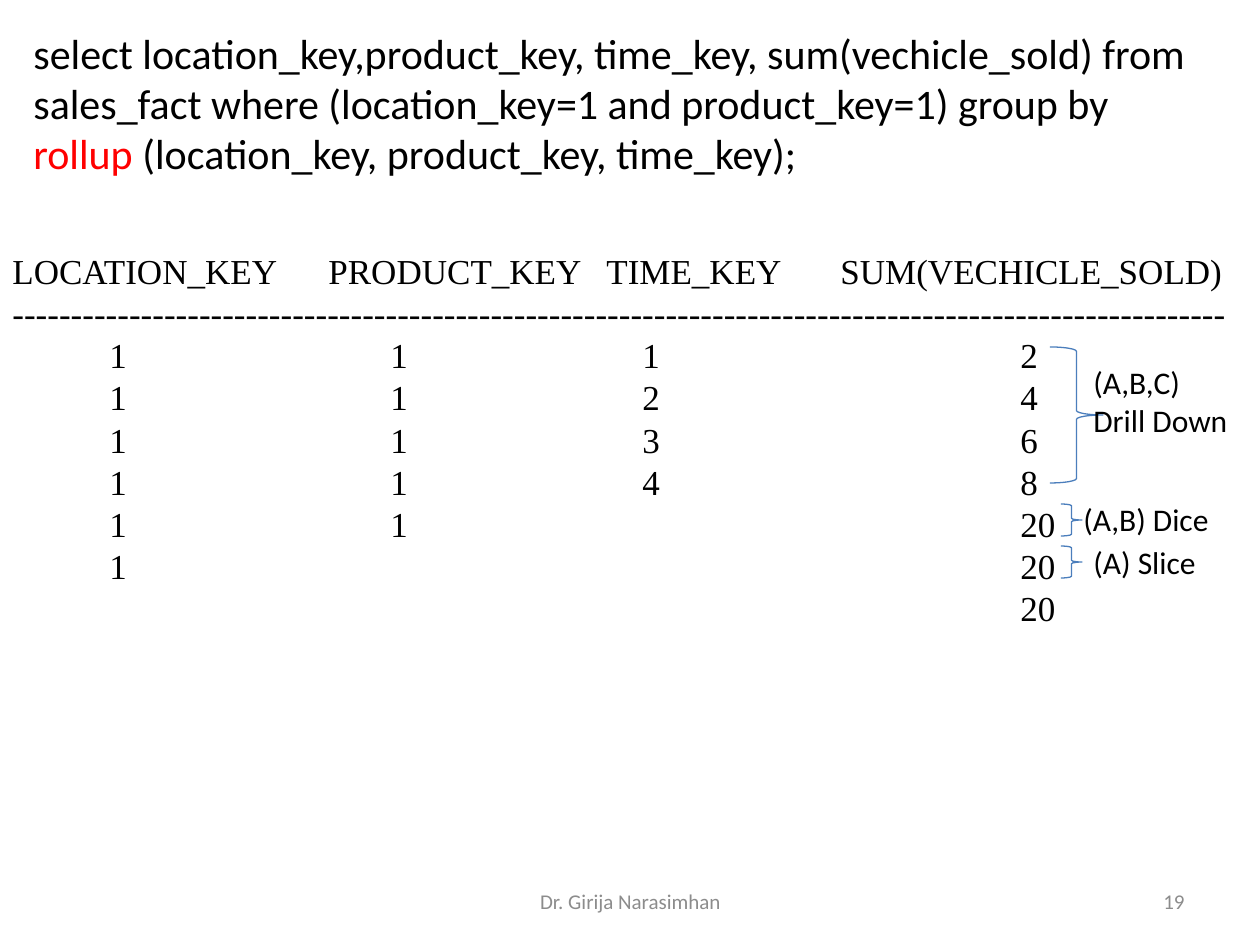
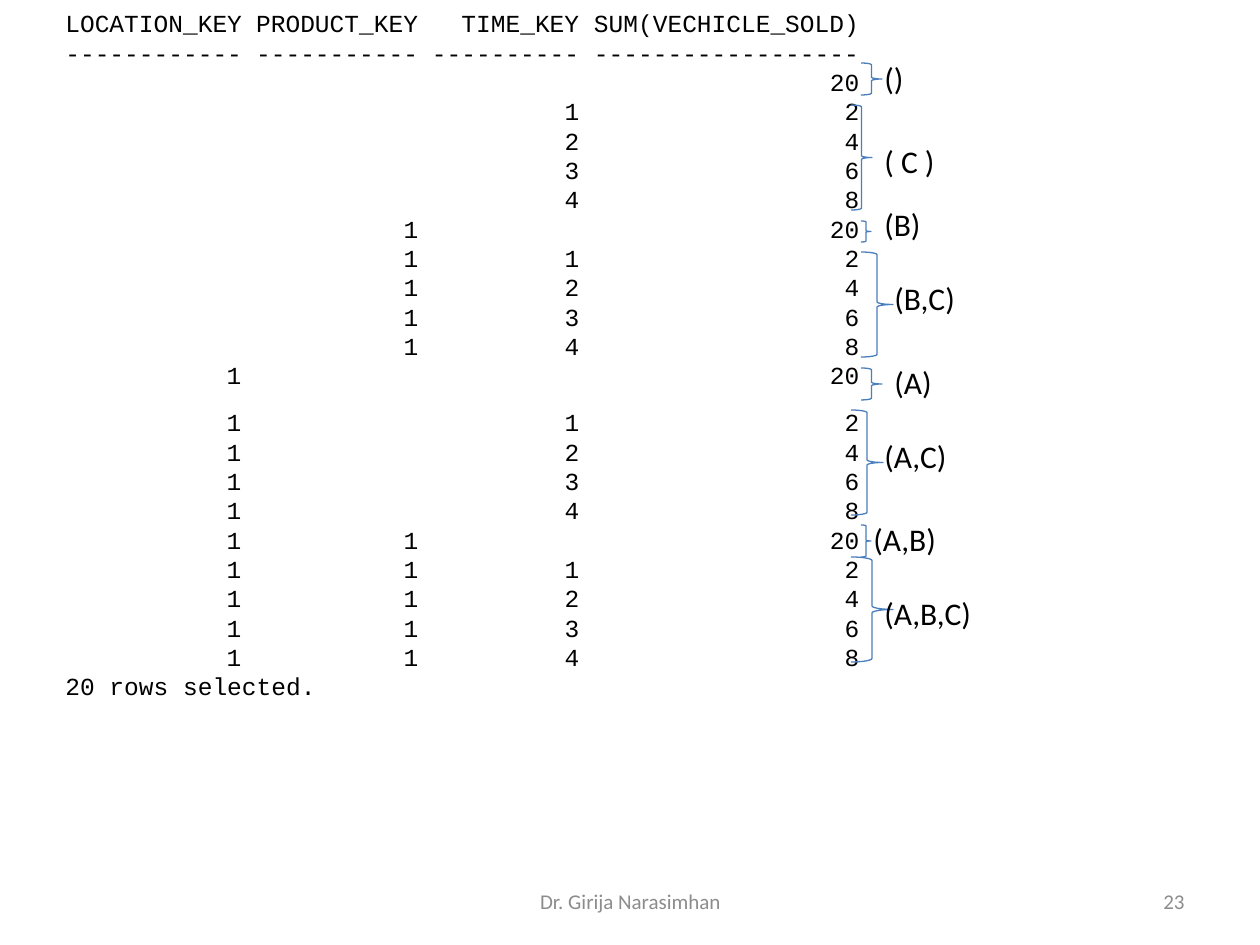
"""Build two slides showing the results of SQL rollup and cube queries."""
import dataclasses

import lxml.etree
import pptx
import pptx.dml.color
import pptx.enum.shapes
import pptx.enum.text
import pptx.oxml.ns
import pptx.util

ALIGN = pptx.enum.text.PP_ALIGN
ANCHOR = pptx.enum.text.MSO_ANCHOR
EMU_PER_PX = 914400 / 126
SLIDE_SIZE = (1260, 945)


@dataclasses.dataclass(frozen=True)
class Style:
    font: str
    size: int
    color: str = "000000"
    pitch: float = None


@dataclasses.dataclass(frozen=True)
class Theme:
    query: Style = Style("Calibri", 24)
    keyword: Style = Style("Calibri", 24, "FF0000")
    label: Style = Style("Calibri", 18)
    footer: Style = Style("Calibri", 12, "8C8C8C")
    rollup: Style = Style("Times New Roman", 20, pitch=24)
    cube: Style = Style("Courier New", 14, pitch=16.75)
    brace: str = "4B7EBC"
    brace_width: float = 0.75


THEME = Theme()

AUTHOR = "Dr. Girija Narasimhan"
AUTHOR_BOX = (431, 876, 399, 50)
NUMBER_BOX = (903, 876, 294, 50)

QUERY_BOX = (21, 21, 1187, 165)
QUERY = [
    ("select location_key,product_key, time_key, sum(vechicle_sold) from "
     "sales_fact where (location_key=1 and product_key=1) group by ", THEME.query),
    ("rollup", THEME.keyword),
    (" (location_key, product_key, time_key);", THEME.query),
]

COLUMNS = ("LOCATION_KEY", "PRODUCT_KEY", "TIME_KEY", "SUM(VECHICLE_SOLD)")

ROLLUP_BOX = (0, 242, 1281, 394)
ROLLUP_HEADER_STOPS = (316, 594, 828)
ROLLUP_VALUE_STOPS = (97, 378, 630, 1008)
ROLLUP_RULE = "-" * 104
ROLLUP_ROWS = [
    (1, 1, 1, 2),
    (1, 1, 2, 4),
    (1, 1, 3, 6),
    (1, 1, 4, 8),
    (1, 1, "", 20),
    (1, "", "", 20),
    ("", "", "", 20),
]
ROLLUP_LEVELS = [
    (("(A,B,C)", "Drill Down"), (1050, 347, 53, 136), (1081, 357, 179, 89)),
    (("(A,B) Dice",), (1061, 504, 21, 32), (1071, 494, 158, 50)),
    (("(A) Slice",), (1061, 546, 21, 32), (1081, 537, 158, 50)),
]

CUBE_UPPER_BOX = (53, 0, 824, 398)
CUBE_LOWER_BOX = (53, 399, 824, 310)
CUBE_STOPS = (176, 353, 514, 794)
CUBE_RULE = tuple("-" * width for width in (12, 11, 10, 18))
TIME_SALES = [(1, 2), (2, 4), (3, 6), (4, 8)]
TOTAL = ("", 20)
CUBE_UPPER_GROUPS = [
    ("", "", [TOTAL] + TIME_SALES),
    ("", 1, [TOTAL] + TIME_SALES),
    (1, "", [TOTAL]),
]
CUBE_LOWER_GROUPS = [
    (1, "", TIME_SALES),
    (1, 1, [TOTAL] + TIME_SALES),
]
CUBE_CLOSING = "20 rows selected."
CUBE_LEVELS = [
    (("()",), (861, 63, 21, 32), (872, 53, 95, 50)),
    (("( C )",), (851, 105, 21, 105), (872, 136, 158, 50)),
    (("(B)",), (861, 221, 10, 21), (872, 199, 105, 50)),
    (("(B,C)",), (861, 252, 32, 105), (882, 273, 105, 50)),
    (("(A)",), (861, 368, 21, 32), (882, 357, 63, 50)),
    (("(A,C)",), (851, 410, 32, 105), (872, 431, 158, 50)),
    (("(A,B)",), (861, 525, 10, 32), (861, 514, 105, 50)),
    (("(A,B,C)",), (851, 557, 42, 105), (872, 588, 116, 50)),
]


def px(length):
    return round(length * EMU_PER_PX)


def rgb(value):
    return pptx.dml.color.RGBColor.from_string(value)


def set_tab_stops(paragraph, stops, side):
    properties = paragraph._p.get_or_add_pPr()
    qn = pptx.oxml.ns.qn
    tab_list = lxml.etree.SubElement(properties, qn("a:tabLst"))
    for stop in stops:
        lxml.etree.SubElement(tab_list, qn("a:tab"), pos=str(px(stop)), algn=side)


def add_text(slide, box, paragraphs, align=ALIGN.LEFT, anchor=ANCHOR.TOP):
    """Add a text box; each paragraph is (runs, tab stops, tab side)."""
    frame = slide.shapes.add_textbox(*map(px, box)).text_frame
    frame.word_wrap = True
    frame.vertical_anchor = anchor
    for index, (runs, stops, side) in enumerate(paragraphs):
        paragraph = frame.add_paragraph() if index else frame.paragraphs[0]
        paragraph.alignment = align
        for text, style in runs:
            run = paragraph.add_run()
            run.text = text
            run.font.name = style.font
            run.font.size = pptx.util.Pt(style.size)
            run.font.color.rgb = rgb(style.color)
            if style.pitch:
                paragraph.line_spacing = pptx.util.Pt(style.pitch)
        if stops:
            set_tab_stops(paragraph, stops, side)


def line(text, style, stops=(), side="l"):
    return [(text, style)], stops, side


def tabbed(cells):
    return "".join(f"\t{cell}" for cell in cells)


def add_listing(slide, box, lines):
    add_text(slide, box, lines, ALIGN.JUSTIFY, ANCHOR.MIDDLE)


def add_levels(slide, levels):
    for words, brace_box, label_box in levels:
        brace = slide.shapes.add_shape(
            pptx.enum.shapes.MSO_SHAPE.RIGHT_BRACE, *map(px, brace_box))
        brace.shadow.inherit = False
        brace.fill.background()
        brace.line.color.rgb = rgb(THEME.brace)
        brace.line.width = pptx.util.Pt(THEME.brace_width)
        add_text(slide, label_box, [line(word, THEME.label) for word in words])


def add_slide(deck, number):
    slide = deck.slides.add_slide(deck.slide_layouts[6])
    for text, box, align in ((str(number), NUMBER_BOX, ALIGN.RIGHT),
                             (AUTHOR, AUTHOR_BOX, ALIGN.CENTER)):
        add_text(slide, box, [line(text, THEME.footer)], align, ANCHOR.MIDDLE)
    return slide


def build_rollup(deck):
    slide = add_slide(deck, 19)
    add_text(slide, QUERY_BOX, [(QUERY, (), "l")])
    header = line("\t".join(COLUMNS), THEME.rollup, ROLLUP_HEADER_STOPS)
    rule = line(ROLLUP_RULE, THEME.rollup)
    rows = [line(tabbed(row), THEME.rollup, ROLLUP_VALUE_STOPS) for row in ROLLUP_ROWS]
    add_listing(slide, ROLLUP_BOX, [header, rule] + rows)
    add_levels(slide, ROLLUP_LEVELS)


def cube_lines(rows):
    return [line(tabbed(row), THEME.cube, CUBE_STOPS, "r") for row in rows]


def cube_rows(groups):
    return [(location, product, *sale)
            for location, product, sales in groups for sale in sales]


def build_cube(deck):
    slide = add_slide(deck, 23)
    upper = cube_lines([COLUMNS, CUBE_RULE] + cube_rows(CUBE_UPPER_GROUPS))
    lower = cube_lines(cube_rows(CUBE_LOWER_GROUPS))
    add_listing(slide, CUBE_UPPER_BOX, upper)
    add_listing(slide, CUBE_LOWER_BOX, lower + [line(CUBE_CLOSING, THEME.cube)])
    add_levels(slide, CUBE_LEVELS)


def main():
    deck = pptx.Presentation()
    deck.slide_width, deck.slide_height = map(px, SLIDE_SIZE)
    build_rollup(deck)
    build_cube(deck)
    deck.save("out.pptx")


if __name__ == "__main__":
    main()
